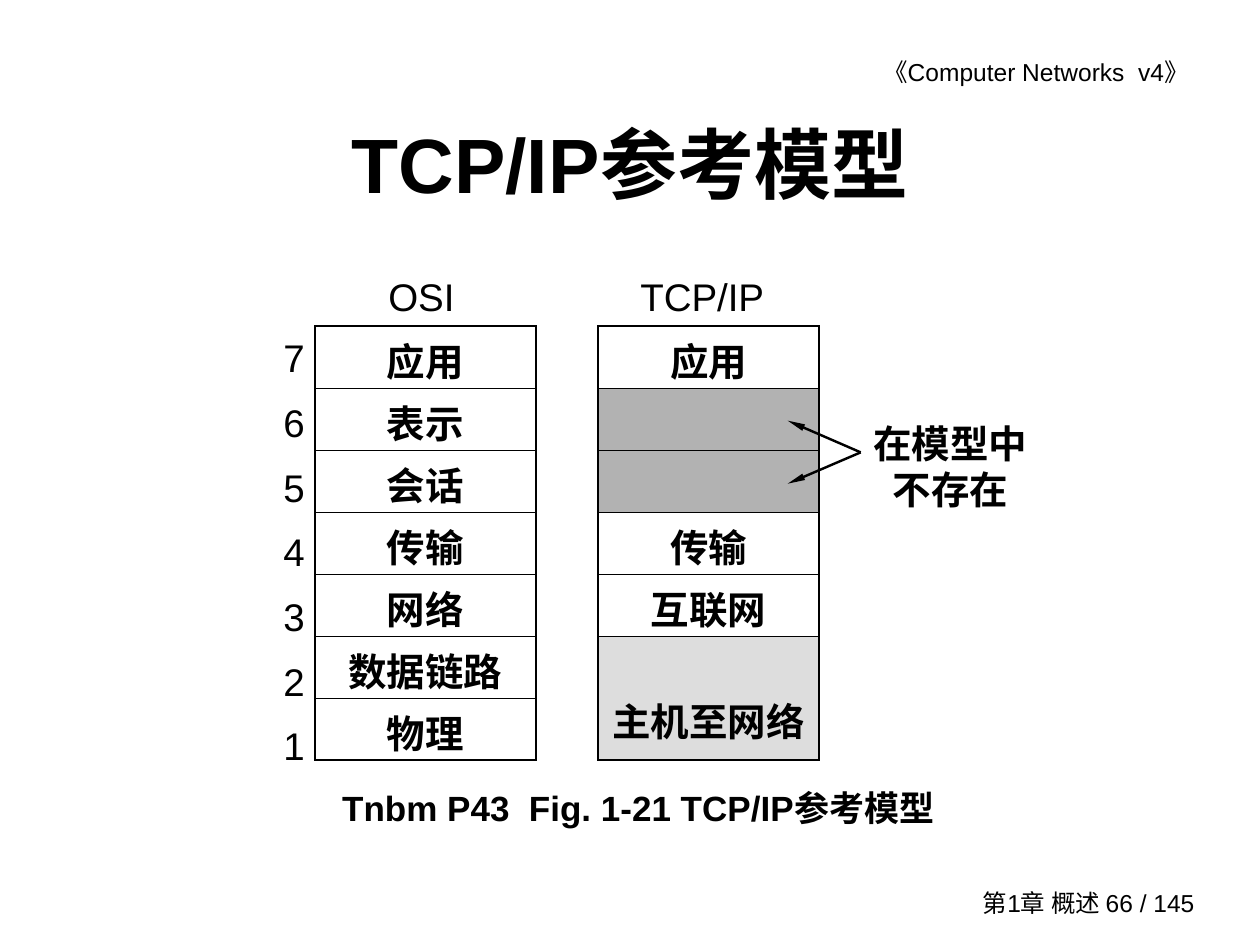
"""Build a slide that sets the OSI layers beside the TCP/IP reference model."""
import pptx
import pptx.dml.color
import pptx.enum.shapes
import pptx.enum.text
import pptx.oxml.ns
import pptx.util
from lxml import etree

Cm, Pt = pptx.util.Cm, pptx.util.Pt
RGB = pptx.dml.color.RGBColor.from_string
ALIGN = pptx.enum.text.PP_ALIGN
ANCHOR = pptx.enum.text.MSO_ANCHOR
qn = pptx.oxml.ns.qn

THEME = {
    "ink": "000000", "paper": "FFFFFF", "absent": "B2B2B2", "merged": "DDDDDD",
    "latin": "Arial", "chinese": "Noto Sans CJK SC",
    "title": Pt(44), "label": Pt(22), "caption": Pt(20), "margin": Pt(14),
    "outer": Pt(1.08), "inner": Pt(0.45), "arrow": Pt(1.39),
}
TIGHT = dict.fromkeys(("margin_left", "margin_top", "margin_right", "margin_bottom"), 0)
PADDED = {"margin_left": Cm(0.25), "margin_top": Cm(0.13),
          "margin_right": Cm(0.25), "margin_bottom": Cm(0.13)}


def write(frame, lines, size, bold=False, face="latin", **paragraph_format):
    """Fill a text frame with one formatted paragraph per line."""
    for index, line in enumerate(lines):
        paragraph = frame.paragraphs[0] if index == 0 else frame.add_paragraph()
        for attribute, value in paragraph_format.items():
            setattr(paragraph, attribute, value)
        run = paragraph.add_run()
        run.text = line
        font_format = {"size": THEME[size], "bold": bold, "name": THEME[face]}
        for attribute, value in font_format.items():
            setattr(run.font, attribute, value)
        run.font.color.rgb = RGB(THEME["ink"])
        east_asian = etree.SubElement(run.font._element, qn("a:ea"))
        east_asian.set("typeface", THEME["chinese"])


def border(cell, side, width):
    """Draw one solid edge of a table cell."""
    edge = etree.SubElement(cell._tc.get_or_add_tcPr(), qn("a:ln" + side), w=str(int(width)))
    fill = etree.SubElement(edge, qn("a:solidFill"))
    etree.SubElement(fill, qn("a:srgbClr"), val=THEME["ink"])


deck = pptx.Presentation()
deck.slide_width, deck.slide_height = Cm(25.4), Cm(19.05)
slide = deck.slides.add_slide(deck.slide_layouts[5])

title = slide.shapes.title
title_place = {"left": Cm(1.9), "top": Cm(1.68), "width": Cm(21.6), "height": Cm(3.18)}
for attribute, value in title_place.items():
    setattr(title, attribute, value)
title_format = {**PADDED, "vertical_anchor": ANCHOR.MIDDLE, "word_wrap": True,
                "auto_size": pptx.enum.text.MSO_AUTO_SIZE.NONE}
for attribute, value in title_format.items():
    setattr(title.text_frame, attribute, value)
write(title.text_frame, ["TCP/IP参考模型"], "title", bold=True, alignment=ALIGN.CENTER)

heading = {"size": "label", "alignment": ALIGN.LEFT}
running = {"size": "margin", "alignment": ALIGN.RIGHT}
texts = [
    ((13.59, 1.02, 10.74, 0.86), ["《Computer Networks  v4》 "], PADDED, running),
    ((19.05, 17.78, 5.28, 0.84), ["第1章 概述 66 / 145"],
     {**PADDED, "vertical_anchor": ANCHOR.MIDDLE}, running),
    ((7.83, 5.51, 1.5, 0.94), ["OSI"], {**TIGHT, "word_wrap": False}, heading),
    ((12.91, 5.51, 2.8, 0.94), ["TCP/IP"], {**TIGHT, "word_wrap": False}, heading),
    ((17.57, 8.47, 3.18, 1.85), ["在模型中不存在"], TIGHT,
     {"size": "label", "bold": True, "face": "chinese", "alignment": ALIGN.CENTER}),
    ((5.51, 6.37, 0.84, 9.12), [str(layer) for layer in range(7, 0, -1)], TIGHT,
     {"size": "label", "alignment": ALIGN.CENTER, "line_spacing": 1.4}),
    ((5.86, 15.72, 14.02, 1.12), ["Tnbm P43  Fig. 1-21 TCP/IP参考模型"], PADDED,
     {"size": "caption", "bold": True, "alignment": ALIGN.CENTER, "space_before": Pt(12.5)}),
]
for place, lines, frame_format, text_format in texts:
    frame = slide.shapes.add_textbox(*map(Cm, place)).text_frame
    for attribute, value in {"word_wrap": True, **frame_format}.items():
        setattr(frame, attribute, value)
    write(frame, lines, **text_format)

row_height = 1.25
osi_layers = [(name, 1, "paper") for name in
              ("应用", "表示", "会话", "传输", "网络", "数据链路", "物理")]
tcp_ip_layers = [("应用", 1, "paper"), ("", 1, "absent"), ("", 1, "absent"),
                 ("传输", 1, "paper"), ("互联网", 1, "paper"), ("主机至网络", 2, "merged")]
cell_format = {"margin_left": Cm(0.2), "margin_right": Cm(0.2),
               "margin_top": Cm(0.13), "margin_bottom": 0}
for left, layers in ((6.35, osi_layers), (12.06, tcp_ip_layers)):
    stack = slide.shapes.add_table(len(layers), 1, Cm(left), Cm(6.57),
                                   Cm(4.45), Cm(7 * row_height)).table
    stack.first_row = stack.horz_banding = False
    for index, (name, span, shade) in enumerate(layers):
        stack.rows[index].height = Cm(span * row_height)
        layer = stack.cell(index, 0)
        for attribute, value in cell_format.items():
            setattr(layer, attribute, value)
        edges = {"L": "outer", "R": "outer", "T": "inner" if index else "outer",
                 "B": "inner" if index < len(layers) - 1 else "outer"}
        for side, weight in edges.items():
            border(layer, side, THEME[weight])
        layer.fill.solid()
        layer.fill.fore_color.rgb = RGB(THEME[shade])
        if name:
            write(layer.text_frame, [name], "label", bold=True, face="chinese",
                  alignment=ALIGN.CENTER, space_before=Pt(5.5),
                  line_spacing=1.9 if span == 2 else 1.0)

for absent_layer_y in (9.75, 8.48):
    pointer = slide.shapes.add_connector(pptx.enum.shapes.MSO_CONNECTOR.STRAIGHT,
                                         Cm(15.88), Cm(absent_layer_y), Cm(17.35), Cm(9.12))
    pointer.line.width = THEME["arrow"]
    pointer.line.color.rgb = RGB(THEME["ink"])
    etree.SubElement(pointer.line._get_or_add_ln(), qn("a:headEnd"),
                     type="triangle", w="sm", len="lg")
    etree.SubElement(pointer._element.spPr, qn("a:effectLst"))

deck.save("out.pptx")
